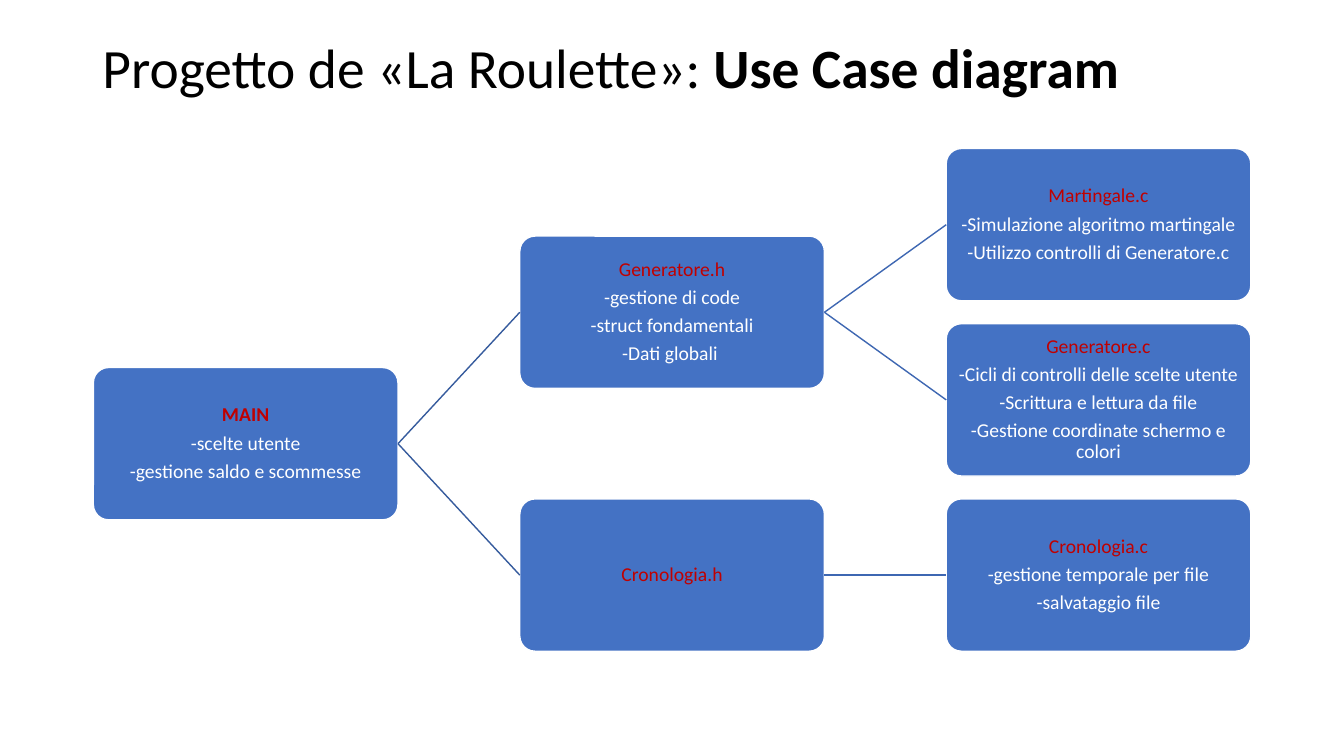
from pptx import Presentation
from pptx.dml.color import RGBColor
from pptx.enum.shapes import MSO_CONNECTOR, MSO_SHAPE
from pptx.enum.text import MSO_ANCHOR, MSO_AUTO_SIZE, PP_ALIGN
from pptx.oxml.ns import qn
from pptx.util import Pt
from lxml import etree

ROUNDED = MSO_SHAPE.ROUNDED_RECTANGLE
STRAIGHT = MSO_CONNECTOR.STRAIGHT
MIDDLE = MSO_ANCHOR.MIDDLE
NO_AUTOFIT = MSO_AUTO_SIZE.NONE
LEFT, CENTER = PP_ALIGN.LEFT, PP_ALIGN.CENTER

BLACK = RGBColor(0x00, 0x00, 0x00)
WHITE = RGBColor(0xFF, 0xFF, 0xFF)
BLUE = RGBColor(0x44, 0x72, 0xC4)
RED = RGBColor(0xC0, 0x00, 0x00)
DARK_LINK = RGBColor(0x36, 0x5B, 0x9D)
LIGHT_LINK = RGBColor(0x3E, 0x67, 0xB2)

FONT = "Calibri"
TREE_LEFT, TREE_TOP = 66.7, 106.1
BOX_W, BOX_H = 217.6, 108.8
COL_STEP, ROW_STEP = 304.6, 125.15
LEFT_SITE, RIGHT_SITE = 1, 3

MODULES = [
    (0, 1.25, "MAIN", ["-scelte utente", "-gestione saldo e scommesse"]),
    (1, 0.5, "Generatore.h",
     ["-gestione di code", "-struct fondamentali", "-Dati globali "]),
    (2, 0, "Martingale.c",
     ["-Simulazione algoritmo martingale", "-Utilizzo controlli di Generatore.c"]),
    (2, 1, "Generatore.c",
     ["-Cicli di controlli delle scelte utente", "-Scrittura e lettura da file",
      "-Gestione coordinate schermo e colori"]),
    (1, 2, "Cronologia.h", []),
    (2, 2, "Cronologia.c", ["-gestione temporale per file", "-salvataggio file"]),
]
LINKS = [
    ("MAIN", "Generatore.h", DARK_LINK),
    ("MAIN", "Cronologia.h", DARK_LINK),
    ("Generatore.h", "Martingale.c", LIGHT_LINK),
    ("Generatore.h", "Generatore.c", LIGHT_LINK),
    ("Cronologia.h", "Cronologia.c", LIGHT_LINK),
]


def format_run(r, size, color, bold):
    r.font.name = FONT
    r.font.size = Pt(size)
    r.font.color.rgb = color
    r.font.bold = bold


prs = Presentation()
prs.slide_width, prs.slide_height = Pt(960), Pt(540)
s = prs.slides.add_slide(prs.slide_layouts[5])

title = s.shapes.title
title.left, title.top, title.width, title.height = Pt(66), Pt(28.8), Pt(828), Pt(43.2)
tf = title.text_frame
tf.auto_size = NO_AUTOFIT
tf.vertical_anchor = MIDDLE
p = tf.paragraphs[0]
p.alignment = LEFT
p.line_spacing = 0.9
for text, bold in [("Progetto de «La Roulette»: ", False), ("Use Case diagram", True)]:
    r = p.add_run()
    r.text = text
    format_run(r, 39.6, BLACK, bold)

boxes = {}
for col, row, name, details in MODULES:
    sp = s.shapes.add_shape(ROUNDED, Pt(TREE_LEFT + col * COL_STEP),
                            Pt(TREE_TOP + row * ROW_STEP), Pt(BOX_W), Pt(BOX_H))
    sp.adjustments[0] = 0.1
    sp.shadow.inherit = False
    sp.fill.solid()
    sp.fill.fore_color.rgb = BLUE
    sp.line.color.rgb = WHITE
    sp.line.width = Pt(1)
    tf = sp.text_frame
    tf.word_wrap = True
    tf.vertical_anchor = MIDDLE
    tf.margin_left = tf.margin_right = tf.margin_top = tf.margin_bottom = Pt(1)
    tf.text = "\n".join([name] + details)
    for i, p in enumerate(tf.paragraphs):
        p.alignment = CENTER
        p.line_spacing = 0.9
        p.space_after = Pt(4.9)
        format_run(p.runs[0], 14, WHITE if i else RED, name == "MAIN" and i == 0)
    boxes[name] = sp

for parent, child, color in LINKS:
    start, end = boxes[parent], boxes[child]
    link = s.shapes.add_connector(STRAIGHT, start.left + start.width,
                                  start.top + start.height // 2,
                                  end.left, end.top + end.height // 2)
    link.begin_connect(start, RIGHT_SITE)
    link.end_connect(end, LEFT_SITE)
    link.line.color.rgb = color
    link.line.width = Pt(1)
    etree.SubElement(link._element.spPr, qn("a:effectLst"))

prs.save("out.pptx")
